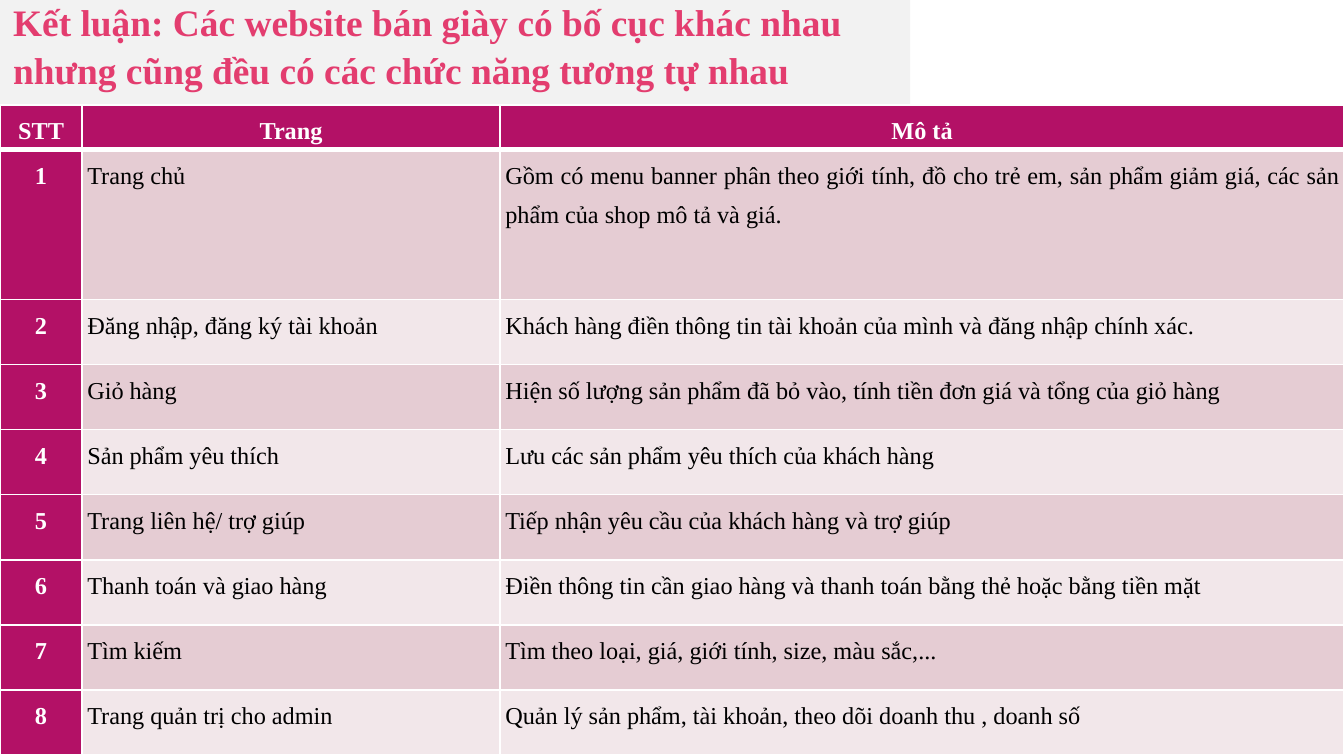
from lxml import etree
from pptx import Presentation
from pptx import util as u
from pptx.dml.color import RGBColor
from pptx.enum import shapes, text
from pptx.oxml import ns

FONT = "Times New Roman"
WHITE, BLACK, PINK, MAGENTA, GREY = "FFFFFF", "000000", "E33D6F", "B31166", "F2F2F2"
BANDS = ("E5CCD3", "F2E7EA")
TITLE = ("Kết luận: Các website bán giày có bố cục khác nhau "
         "nhưng cũng đều có các chức năng tương tự nhau")
HEADER = ("STT", "Trang", "Mô tả")
PAGES = (
    ("Trang chủ", "Gồm có menu banner phân theo giới tính, đồ cho trẻ em, sản phẩm "
                  "giảm giá, các sản phẩm của shop mô tả và giá."),
    ("Đăng nhập, đăng ký tài khoản",
     "Khách hàng điền thông tin tài khoản của mình và đăng nhập chính xác."),
    ("Giỏ hàng", "Hiện số lượng sản phẩm đã bỏ vào, tính tiền đơn giá và tổng của giỏ hàng"),
    ("Sản phẩm yêu thích", "Lưu các sản phẩm yêu thích của khách hàng"),
    ("Trang liên hệ/ trợ giúp", "Tiếp nhận yêu cầu của khách hàng và trợ giúp"),
    ("Thanh toán và giao hàng",
     "Điền thông tin cần giao hàng và thanh toán bằng thẻ hoặc bằng tiền mặt"),
    ("Tìm kiếm", "Tìm theo loại, giá, giới tính, size, màu sắc,..."),
    ("Trang quản trị cho admin", "Quản lý sản phẩm, tài khoản, theo dõi doanh thu , doanh số"),
)
WIDTHS = (1.55, 7.9, 15.95)
HEIGHTS = (0.84, 2.84) + (1.23,) * 7
TITLE_HEIGHT = 1.98


def color(value):
    return RGBColor.from_string(value)


def apply(target, values):
    for name, value in values.items():
        setattr(target, name, value)


def paint(fill, value):
    fill.solid()
    fill.fore_color.rgb = color(value)


def write(para, content, size, ink, bold, **layout):
    apply(para, layout)
    span = para.add_run()
    span.text = content
    apply(span.font, {"name": FONT, "size": u.Pt(size), "bold": bold})
    span.font.color.rgb = color(ink)


def add_title(page):
    box = page.shapes.add_shape(shapes.MSO_SHAPE.RECTANGLE, 0, 0,
                                u.Cm(17.2), u.Cm(TITLE_HEIGHT))
    box.shadow.inherit = False
    box.line.fill.background()
    paint(box.fill, GREY)
    margins = {f"margin_{side}": u.Cm(0.25) for side in ("left", "top", "right", "bottom")}
    apply(box.text_frame, {"word_wrap": True,
                           "vertical_anchor": text.MSO_ANCHOR.BOTTOM, **margins})
    write(box.text_frame.paragraphs[0], TITLE, 20, PINK, True,
          alignment=text.PP_ALIGN.LEFT, line_spacing=1.05)


def add_borders(cell, widths):
    properties = cell._tc.get_or_add_tcPr()
    for side, width in widths.items():
        line = etree.SubElement(properties, ns.qn(f"a:ln{side}"), w=str(u.Pt(width)))
        solid = etree.SubElement(line, ns.qn("a:solidFill"))
        etree.SubElement(solid, ns.qn("a:srgbClr"), val=WHITE)


def fill_cell(cell, content, row, column):
    heading = row == 0 or column == 0
    add_borders(cell, {"L": 1, "R": 1, "T": 3 if row == 1 else 1, "B": 3 if row == 0 else 1})
    paint(cell.fill, MAGENTA if heading else BANDS[(row - 1) % 2])
    apply(cell, {"margin_left": u.Cm(0.1), "margin_right": u.Cm(0.1),
                 "margin_top": 0, "margin_bottom": 0})
    layout = {"line_spacing": 1.5,
              "alignment": text.PP_ALIGN.CENTER if heading else text.PP_ALIGN.JUSTIFY}
    if row and column == 2:
        layout["space_after"] = u.Pt(6 if row == 1 else 0)
    write(cell.text_frame.paragraphs[0], content, 13,
          WHITE if heading else BLACK, heading, **layout)


def add_page_table(page):
    rows = [HEADER] + [(str(number), *entry) for number, entry in enumerate(PAGES, 1)]
    table = page.shapes.add_table(len(rows), len(HEADER), 0, u.Cm(TITLE_HEIGHT),
                                  u.Cm(sum(WIDTHS)), u.Cm(sum(HEIGHTS))).table
    for column, width in zip(table.columns, WIDTHS):
        column.width = u.Cm(width)
    for row, height in zip(table.rows, HEIGHTS):
        row.height = u.Cm(height)
    for row, contents in enumerate(rows):
        for column, content in enumerate(contents):
            fill_cell(table.cell(row, column), content, row, column)


def main():
    deck = Presentation()
    apply(deck, {"slide_width": u.Cm(25.4), "slide_height": u.Cm(14.29)})
    page = deck.slides.add_slide(deck.slide_layouts[6])
    add_title(page)
    add_page_table(page)
    deck.save("out.pptx")


if __name__ == "__main__":
    main()
